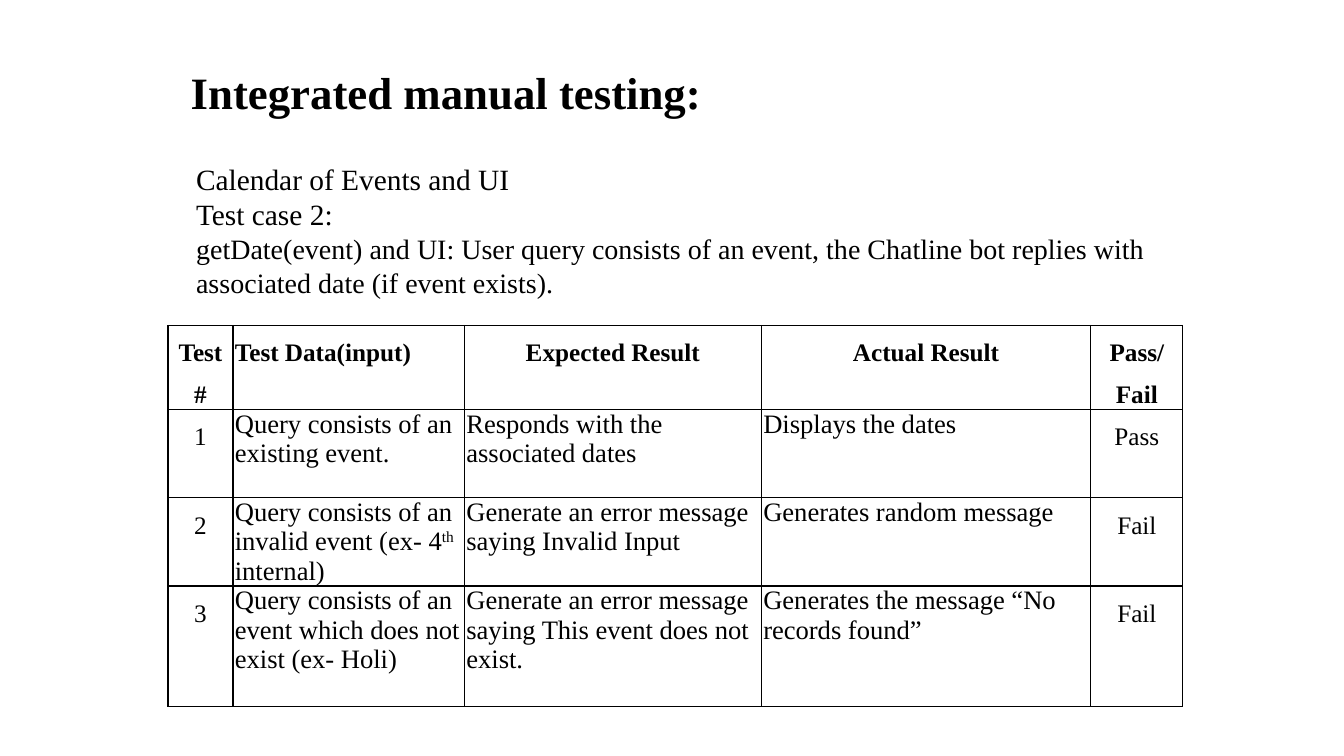
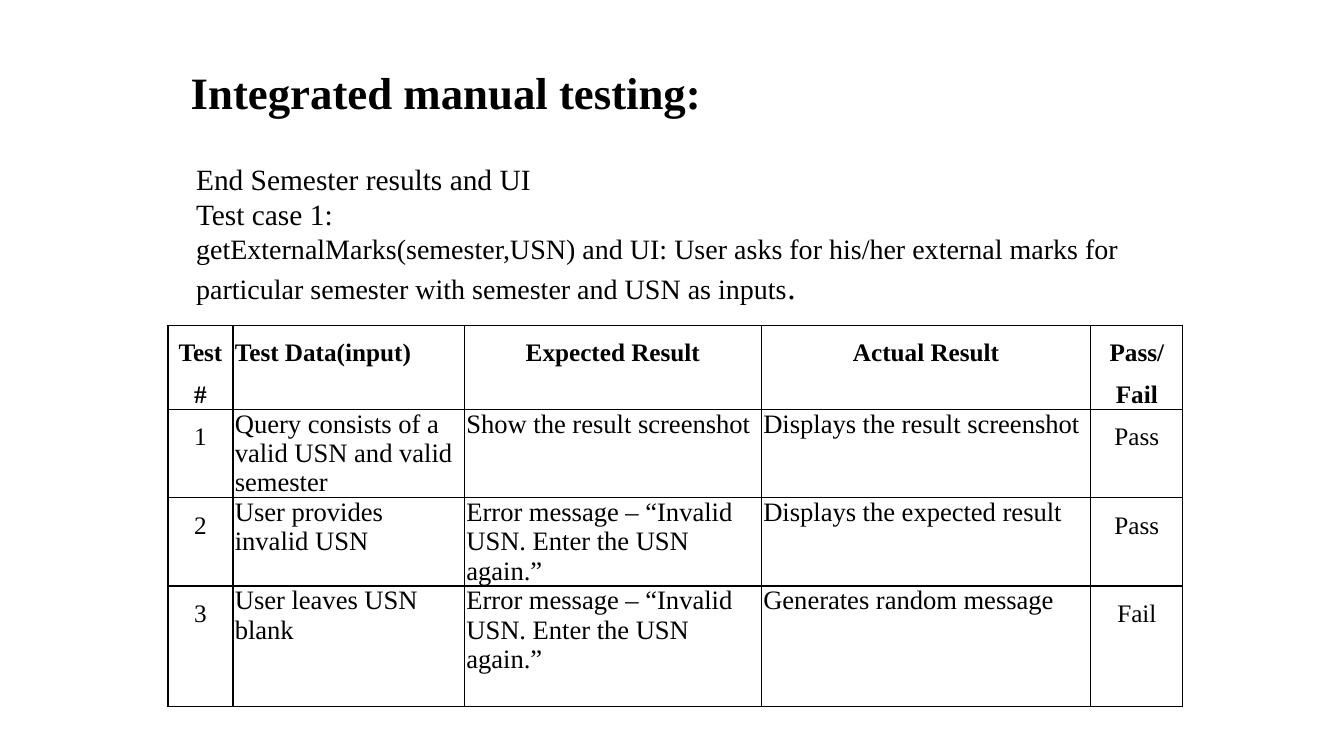
from dataclasses import dataclass

from lxml.etree import SubElement
from pptx import Presentation
from pptx.dml.color import RGBColor
from pptx.enum.text import MSO_ANCHOR, MSO_AUTO_SIZE, PP_ALIGN
from pptx.oxml.ns import qn
from pptx.util import Pt


@dataclass(frozen=True)
class Theme:
    """Colours, font and type sizes of the deck."""
    font: str = "Times New Roman"
    ink: str = "000000"
    title: float = 32
    lead: float = 21
    detail: float = 20
    stop: float = 24
    label: float = 18
    cell: float = 19
    border: float = 1


T = Theme()
TITLE_BOX = (129, 5, 720, 126)
INTRO_BOX = (133, 108, 698.4, 125)
TABLE_BOX = (120, 232.5, 725, 272)
COL_WIDTHS = (46.4, 165.4, 212.1, 235.4, 65.7)
ROW_HEIGHTS = (60, 63, 63, 86)
TITLE = "Integrated manual testing:"
HEADER = ("Test #", "Test Data(input)", "Expected Result", "Actual Result", "Pass/ Fail")
INVALID_USN = "Error message – “Invalid USN. Enter the USN again.”"

SLIDES = [
    (
        ("Calendar of Events and UI", "Test case 2:",
         "getDate(event) and UI: User query consists of an event, the Chatline bot replies "
         "with associated date (if event exists)."),
        "",
        [
            ("1", "Query consists of an existing event.",
             "Responds with the associated dates", "Displays the dates", "Pass"),
            ("2", ("Query consists of an invalid event (ex- 4", "th", " internal)"),
             "Generate an error message saying Invalid Input",
             "Generates random message", "Fail"),
            ("3", "Query consists of an event which does not exist (ex- Holi)",
             "Generate an error message saying This event does not exist.",
             "Generates the message “No records found”", "Fail"),
        ],
    ),
    (
        ("End Semester results and UI", "Test case 1:",
         "getExternalMarks(semester,USN) and UI: User asks for his/her external marks for "
         "particular semester with semester and USN as inputs"),
        ".",
        [
            ("1", "Query consists of a valid USN and valid semester",
             "Show the result screenshot", "Displays the result screenshot", "Pass"),
            ("2", "User provides invalid USN", INVALID_USN,
             "Displays the expected result", "Pass"),
            ("3", "User leaves USN blank", INVALID_USN,
             "Generates random message", "Fail"),
        ],
    ),
]


def style(p, size, bold=False, align=PP_ALIGN.LEFT, spacing=1.0):
    """Format a paragraph in the deck's font and ink."""
    p.alignment, p.line_spacing = align, spacing
    f = p.font
    f.name, f.size, f.bold = T.font, Pt(size), bold
    f.color.rgb = RGBColor.from_string(T.ink)


def add_title(s, box):
    """Place the slide title in the box."""
    sp = s.shapes.title
    sp.left, sp.top, sp.width, sp.height = map(Pt, box)
    tf = sp.text_frame
    tf.text = TITLE
    tf.auto_size = MSO_AUTO_SIZE.NONE
    tf.vertical_anchor = MSO_ANCHOR.MIDDLE
    style(tf.paragraphs[0], T.title, bold=True, spacing=0.9)


def add_intro(s, box, lines, stop):
    """Describe the test case in the box, with an optional larger full stop."""
    tf = s.shapes.add_textbox(*map(Pt, box)).text_frame
    tf.word_wrap = True
    tf.margin_left = tf.margin_right = tf.margin_top = tf.margin_bottom = Pt(7.2)
    tf.text = "\n".join(lines)
    for p, size in zip(tf.paragraphs, (T.lead, T.lead, T.detail)):
        style(p, size)
    if stop:
        r = tf.paragraphs[-1].add_run()
        r.text = stop
        r.font.size = Pt(T.stop)


def add_borders(cell):
    """Rule all four sides of a cell."""
    tcPr = cell._tc.get_or_add_tcPr()
    for i, side in enumerate(("lnL", "lnR", "lnT", "lnB")):
        ln = SubElement(tcPr, qn(f"a:{side}"), w=str(Pt(T.border)))
        tcPr.insert(i, ln)
        fill = SubElement(ln, qn("a:solidFill"))
        SubElement(fill, qn("a:srgbClr"), val=T.ink)


def fill_cell(cell, content, row, col):
    """Write and format one table cell; the middle part of a tuple is superscript."""
    cell.margin_left = cell.margin_right = Pt(1.4)
    cell.margin_top = cell.margin_bottom = 0
    cell.fill.background()
    add_borders(cell)
    p = cell.text_frame.paragraphs[0]
    parts = (content,) if isinstance(content, str) else content
    for i, part in enumerate(parts):
        r = p.add_run()
        r.text = part
        if i == 1:
            r._r.get_or_add_rPr().set("baseline", "30000")
    header, edge = row == 0, col in (0, len(COL_WIDTHS) - 1)
    centred = edge or (header and col != 1)
    label = header or edge
    style(p, T.label if label else T.cell, header,
          PP_ALIGN.CENTER if centred else PP_ALIGN.LEFT, 1.5 if label else 1.0)


def add_results(s, box, rows):
    """Place the table of test results in the box."""
    data = [HEADER, *rows]
    table = s.shapes.add_table(len(data), len(HEADER), *map(Pt, box)).table
    table.first_row = table.horz_banding = False
    for column, width in zip(table.columns, COL_WIDTHS):
        column.width = Pt(width)
    for i, (row, height) in enumerate(zip(table.rows, ROW_HEIGHTS)):
        row.height = Pt(height)
        for j, cell in enumerate(row.cells):
            fill_cell(cell, data[i][j], i, j)


def add_test_slide(prs, intro, stop, rows):
    """Add a slide for one integrated test case."""
    s = prs.slides.add_slide(prs.slide_layouts[5])
    add_title(s, TITLE_BOX)
    add_results(s, TABLE_BOX, rows)
    add_intro(s, INTRO_BOX, intro, stop)


def main():
    """Build and save the deck."""
    prs = Presentation()
    prs.slide_width, prs.slide_height = Pt(960), Pt(540)
    for intro, stop, rows in SLIDES:
        add_test_slide(prs, intro, stop, rows)
    prs.save("out.pptx")


if __name__ == "__main__":
    main()
